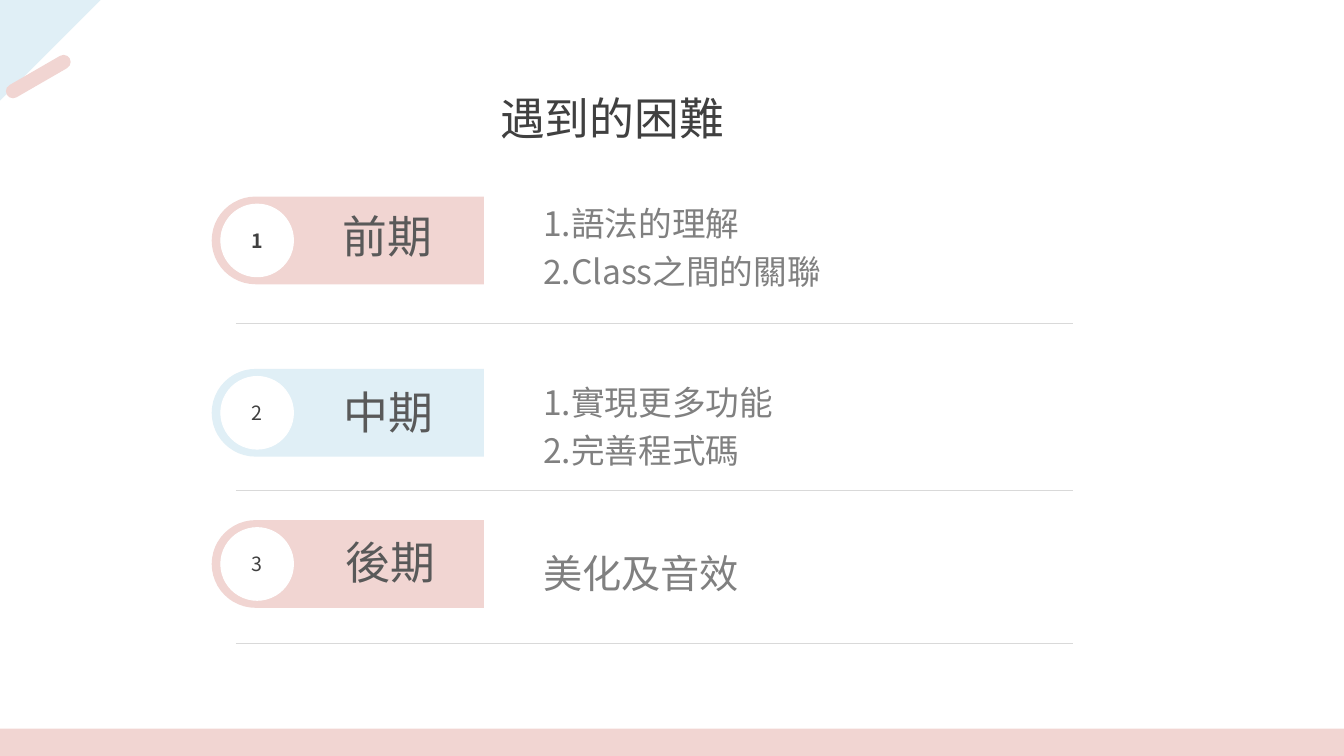
from pptx import Presentation
from pptx.dml.color import RGBColor
from pptx.enum import shapes, text
from pptx.oxml.ns import qn
from pptx.util import Inches, Pt
from lxml import etree

FONT = "Noto Sans CJK SC"
PINK = RGBColor(0xF1, 0xD5, 0xD2)
BLUE = RGBColor(0xE0, 0xEF, 0xF6)
WHITE = RGBColor(0xFF, 0xFF, 0xFF)
DARK = RGBColor(0x40, 0x40, 0x40)
GREY = RGBColor(0x59, 0x59, 0x59)
SOFT = RGBColor(0x80, 0x80, 0x80)
RULE = RGBColor(0xD9, 0xD9, 0xD9)

TITLE = "遇到的困難"
# Each stage: name, tab colour, tab top, name box, rule height, notes, size, notes box
STAGES = [
    ("前期", PINK, 1.95, (3.3, 2.02, 1.18, 0.33), 3.21,
     ["1.語法的理解", "2.Class之間的關聯"], 24, (5.29, 1.88, 5.52, 0.88)),
    ("中期", BLUE, 3.66, (3.31, 3.77, 1.15, 0.33), 4.86,
     ["1.實現更多功能", "2.完善程式碼"], 24, (5.29, 3.66, 5.62, 0.84)),
    ("後期", PINK, 5.16, (3.33, 5.26, 1.14, 0.33), 6.38,
     ["美化及音效"], 28, (5.29, 5.31, 2.21, 0.68)),
]
TAB_LEFT, TAB_LONG, TAB_HIGH = 2.1, 2.7, 0.87
DISC_LEFT, DISC = 2.19, 0.72
RULE_LEFT, RULE_RIGHT = 2.34, 10.64

ALIGN = text.PP_ALIGN
KIND = shapes.MSO_SHAPE


def write(frame, lines, size, color, align=ALIGN.LEFT, bold=False, **form):
    form = {"word_wrap": True, "auto_size": text.MSO_AUTO_SIZE.NONE,
            "vertical_anchor": text.MSO_ANCHOR.TOP, **form}
    space = form.pop("space", 1.0)
    for name, value in form.items():
        setattr(frame, name, value)
    for i, line in enumerate(lines):
        para = frame.add_paragraph() if i else frame.paragraphs[0]
        para.alignment, para.line_spacing = align, space
        run = para.add_run()
        run.text = line
        for name, value in {"name": FONT, "size": Pt(size), "bold": bold}.items():
            setattr(run.font, name, value)
        run.font.color.rgb = color
        east = etree.SubElement(run.font._element, qn("a:ea"))
        east.set("typeface", FONT)


def paint(shape, fill, line=None):
    shape.shadow.inherit = False
    shape.fill.solid()
    shape.fill.fore_color.rgb = fill
    if line is None:
        shape.line.fill.background()
    else:
        shape.line.color.rgb = line
        shape.line.width = Pt(0.75)


def add(slide, kind, box, fill, line=None, turn=0, bends=()):
    shape = slide.shapes.add_shape(kind, *map(Inches, box))
    shape.rotation = turn
    for i, bend in enumerate(bends):
        shape.adjustments[i] = bend
    paint(shape, fill, line)
    return shape


def label(slide, box, *args, **form):
    frame = slide.shapes.add_textbox(*map(Inches, box)).text_frame
    write(frame, *args, **form)


def decorate(slide):
    pen = slide.shapes.build_freeform(0, 0, scale=Inches(1))
    pen.add_line_segments([(1.35, 0), (0, 0.8)], close=True)
    paint(pen.convert_to_shape(), BLUE)
    add(slide, KIND.RECTANGLE, (0, 7.23, 13.33, 0.27), PINK)
    add(slide, KIND.ROUNDED_RECTANGLE, (0.02, 0.69, 0.72, 0.14), PINK,
        turn=330, bends=[0.5])


def add_rule(slide, y):
    rule = slide.shapes.add_connector(
        shapes.MSO_CONNECTOR.STRAIGHT, Inches(RULE_LEFT), Inches(y),
        Inches(RULE_RIGHT), Inches(y))
    rule.line.color.rgb = RULE
    rule.line.width = Pt(0.5)
    etree.SubElement(rule._element.spPr, qn("a:effectLst"))


def add_stage(slide, num, stage):
    name, color, top, name_box, rule_y, notes, size, notes_box = stage
    # The tab is an upright shape turned a quarter left about its centre.
    shift = (TAB_LONG - TAB_HIGH) / 2
    add(slide, KIND.ROUND_2_SAME_RECTANGLE,
        (TAB_LEFT + shift, top - shift, TAB_HIGH, TAB_LONG), color,
        turn=270, bends=[0.5, 0])
    disc = add(slide, KIND.OVAL,
               (DISC_LEFT, top + (TAB_HIGH - DISC) / 2, DISC, DISC), WHITE, WHITE)
    sides = ("left", "top", "right", "bottom")
    write(disc.text_frame, [str(num)], 14, DARK, ALIGN.CENTER, num == 1,
          vertical_anchor=text.MSO_ANCHOR.MIDDLE,
          **{f"margin_{side}": 0 for side in sides})
    label(slide, name_box, [name], 32, GREY, ALIGN.JUSTIFY)
    label(slide, notes_box, notes, size, SOFT, space=1.2)
    add_rule(slide, rule_y)


def main():
    deck = Presentation()
    deck.slide_width, deck.slide_height = Inches(13.33), Inches(7.5)
    slide = deck.slides.add_slide(deck.slide_layouts[5])
    decorate(slide)
    title = slide.shapes.title
    spots = {"left": 4.86, "top": 0.85, "width": 3.27, "height": 1.1}
    for name, value in spots.items():
        setattr(title, name, Inches(value))
    write(title.text_frame, [TITLE], 32, DARK, ALIGN.JUSTIFY)
    for num, stage in enumerate(STAGES, 1):
        add_stage(slide, num, stage)
    deck.save("out.pptx")


if __name__ == "__main__":
    main()
